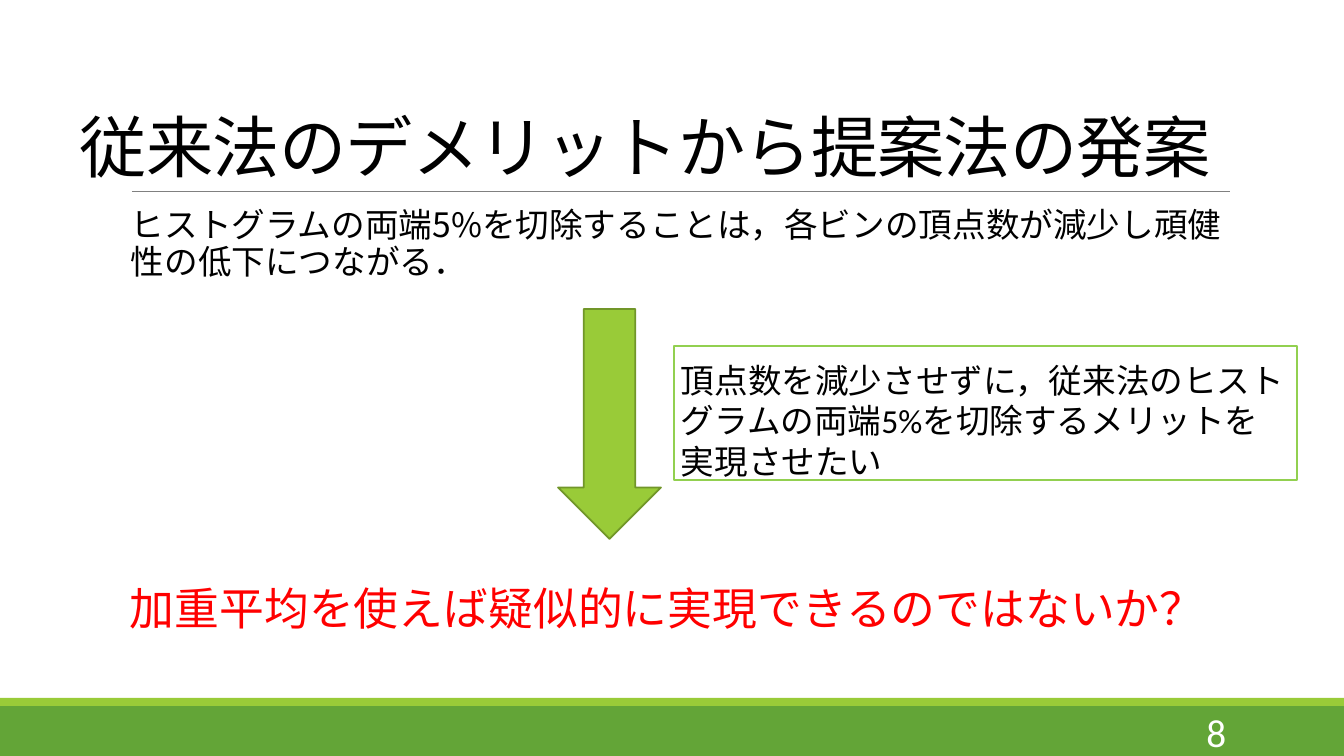
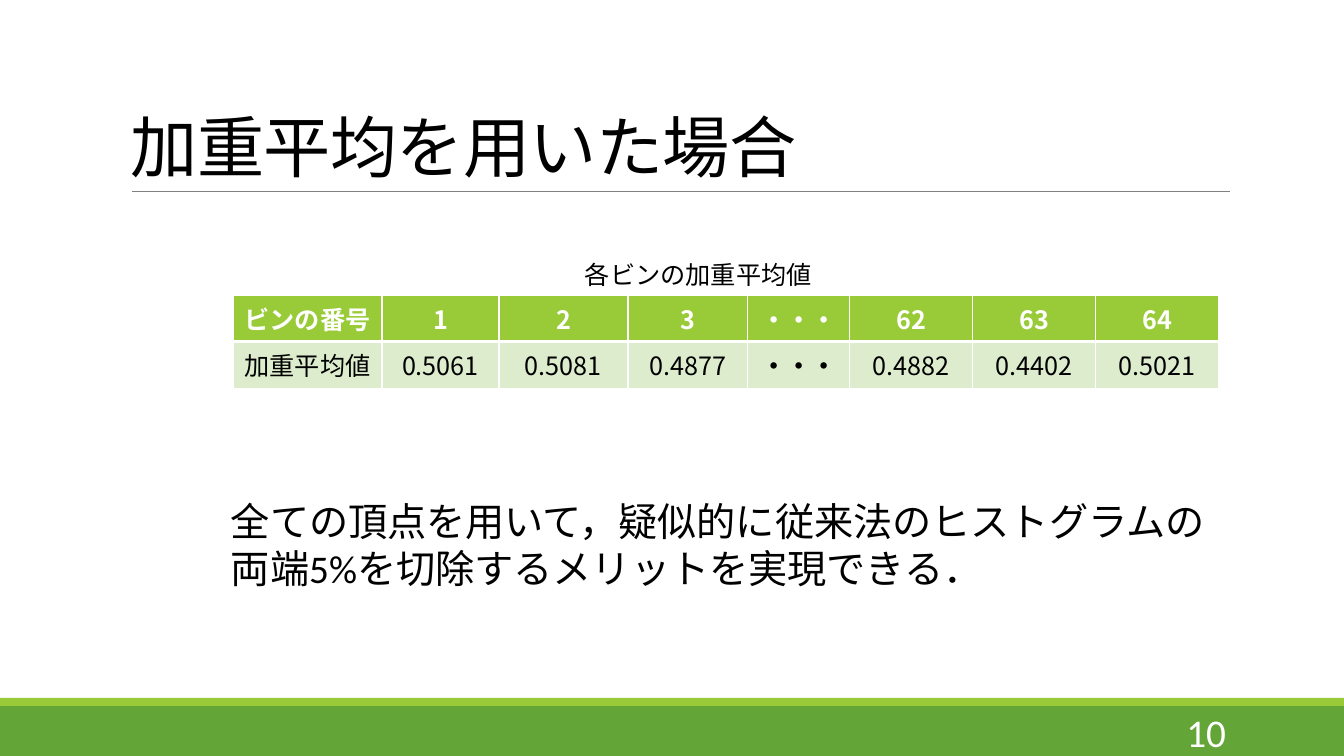
from pptx import Presentation
from pptx.dml.color import RGBColor
from pptx.enum.shapes import MSO_SHAPE, MSO_CONNECTOR
from pptx.enum.text import MSO_ANCHOR, MSO_AUTO_SIZE, PP_ALIGN
from pptx.oxml.ns import qn
from pptx.util import Pt
from lxml.etree import SubElement

# Content
FIRST = {
    "title": "従来法のデメリットから提案法の発案",
    "claim": [("ヒストグラムの両端", "Calibri"), ("5%", "Noto Sans CJK JP"),
              ("を切除することは,各ビンの頂点数が減少し頑健性の低下につながる.".replace(",", ",").replace(".", "."),
               "Calibri")],
    "wish": "頂点数を減少させずに,従来法のヒストグラムの両端5%を切除するメリットを実現させたい",
    "idea": "加重平均を使えば疑似的に実現できるのではないか?",
    "page": "8",
}
SECOND = {
    "title": "加重平均を用いた場合",
    "label": "各ビンの加重平均値",
    "rows": [
        ["ビンの番号", "1", "2", "3", "・・・", "62", "63", "64"],
        ["加重平均値", "0.5061", "0.5081", "0.4877", "・・・", "0.4882", "0.4402", "0.5021"],
    ],
    "result": "全ての頂点を用いて,疑似的に従来法のヒストグラムの両端5%を切除するメリットを実現できる.",
    "page": "10",
}
FIRST["claim"][2] = ("を切除することは\uff0c各ビンの頂点数が減少し頑健性の低下につながる\uff0e", "Calibri")
FIRST["wish"] = FIRST["wish"].replace(",", "\uff0c")
FIRST["idea"] = FIRST["idea"].replace("?", "\uff1f")
SECOND["result"] = SECOND["result"].replace(",", "\uff0c").replace(".", "\uff0e")

# Shared style
GREEN, LIME, EDGE, FRAME = "63A537", "99CB38", "719629", "92D050"
PALE, GREY, RED, BLACK, WHITE = "DEECCE", "808080", "FF0000", "000000", "FFFFFF"
LATIN, ASIAN = "Calibri", "Noto Sans CJK JP"
WIDTH, HEIGHT = 1344, 756
COLS = [149, 117, 129, 120, 102, 123, 123, 123]


def px(n):
    return round(n * 914400 / 100.8)


def rgb(code):
    return RGBColor.from_string(code)


def add_run(para, words, size, color=BLACK, font=LATIN, bold=False):
    run = para.add_run()
    run.text = words
    run.font.name, run.font.size, run.font.bold = font, Pt(size), bold
    run.font.color.rgb = rgb(color)
    SubElement(run._r.get_or_add_rPr(), qn("a:ea")).set("typeface", ASIAN)
    return run


def add_text(slide, area, runs, size, color=BLACK, anchor=MSO_ANCHOR.TOP, grow=False):
    box = slide.shapes.add_textbox(*map(px, area))
    frame = box.text_frame
    frame.word_wrap, frame.vertical_anchor = True, anchor
    frame.auto_size = MSO_AUTO_SIZE.SHAPE_TO_FIT_TEXT if grow else MSO_AUTO_SIZE.NONE
    for words, font in runs:
        add_run(frame.paragraphs[0], words, size, color, font)
    return frame


def add_block(slide, kind, area, fill, line=None):
    block = slide.shapes.add_shape(kind, *map(px, area))
    block.shadow.inherit = False
    block.fill.solid()
    block.fill.fore_color.rgb = rgb(fill)
    if line:
        block.line.color.rgb = rgb(line)
        block.line.width = Pt(1.25)
    else:
        block.line.fill.background()


def add_edge(cell, side, width):
    props = cell._tc.get_or_add_tcPr()
    edge = SubElement(props, qn("a:" + side), w=str(Pt(width)))
    fill = SubElement(edge, qn("a:solidFill"))
    SubElement(fill, qn("a:srgbClr"), val=WHITE)


def new_slide(deck, data, left, width):
    slide = deck.slides.add_slide(deck.slide_layouts[6])
    # Footer bands and title rule
    add_block(slide, MSO_SHAPE.RECTANGLE, (0, 706, WIDTH, 50), GREEN)
    add_block(slide, MSO_SHAPE.RECTANGLE, (0, 698, WIDTH, 8), LIME)
    rule = slide.shapes.add_connector(MSO_CONNECTOR.STRAIGHT, px(132), px(191), px(1230), px(191))
    rule.line.color.rgb, rule.line.width = rgb(GREY), Pt(0.5)
    SubElement(rule._element.spPr, qn("a:effectLst"))
    # Title and page number
    title = add_text(slide, (left, 31, width, 160), [(data["title"], LATIN)], 48,
                     anchor=MSO_ANCHOR.BOTTOM).paragraphs[0]
    title.line_spacing = 0.85
    title.runs[0]._r.get_or_add_rPr().set("spc", "-50")
    page = add_text(slide, (1092, 712, 144, 40), [(data["page"], LATIN)], 28, WHITE,
                    MSO_ANCHOR.MIDDLE)
    page.paragraphs[0].alignment = PP_ALIGN.RIGHT
    return slide


deck = Presentation()
deck.slide_width, deck.slide_height = px(WIDTH), px(HEIGHT)

# Slide 1: from drawback to idea
slide = new_slide(deck, FIRST, 70, 1233)
add_block(slide, MSO_SHAPE.RECTANGLE, (674, 346, 623, 134), WHITE, FRAME)
claim = add_text(slide, (121, 204, 1109, 94), FIRST["claim"], 24)
claim.margin_left, claim.margin_right = px(10), 0
para = claim.paragraphs[0]
para.line_spacing, para.space_before, para.space_after = 0.9, Pt(12), Pt(2)
add_block(slide, MSO_SHAPE.DOWN_ARROW, (558, 309, 103, 230), LIME, EDGE)
add_text(slide, (671, 355, 631, 132), [(FIRST["wish"], LATIN)], 24, grow=True)
add_text(slide, (120, 576, 1130, 64), [(FIRST["idea"], LATIN)], 32, RED, grow=True)

# Slide 2: table of weighted means
slide = new_slide(deck, SECOND, 121, 1168)
rows = SECOND["rows"]
table = slide.shapes.add_table(len(rows), len(COLS), px(233), px(295), px(sum(COLS)), px(82)).table
for col, width in zip(table.columns, COLS):
    col.width = px(width)
for r, row in enumerate(rows):
    head = r == 0
    for c, words in enumerate(row):
        cell = table.cell(r, c)
        for side in ("lnL", "lnR", "lnT", "lnB"):
            thick = (head and side == "lnB") or (not head and side == "lnT")
            add_edge(cell, side, 3 if thick else 1)
        cell.fill.solid()
        cell.fill.fore_color.rgb = rgb(LIME if head else PALE)
        para = cell.text_frame.paragraphs[0]
        para.alignment = PP_ALIGN.CENTER
        digit = words[0].isdigit()
        add_run(para, words, 18, WHITE if head else BLACK, ASIAN if digit else LATIN,
                head or words == "・・・")
add_text(slide, (575, 254, 302, 40), [(SECOND["label"], LATIN)], 18, grow=True)
add_text(slide, (221, 492, 1009, 105), [(SECOND["result"], LATIN)], 28, grow=True)

deck.save("out.pptx")
